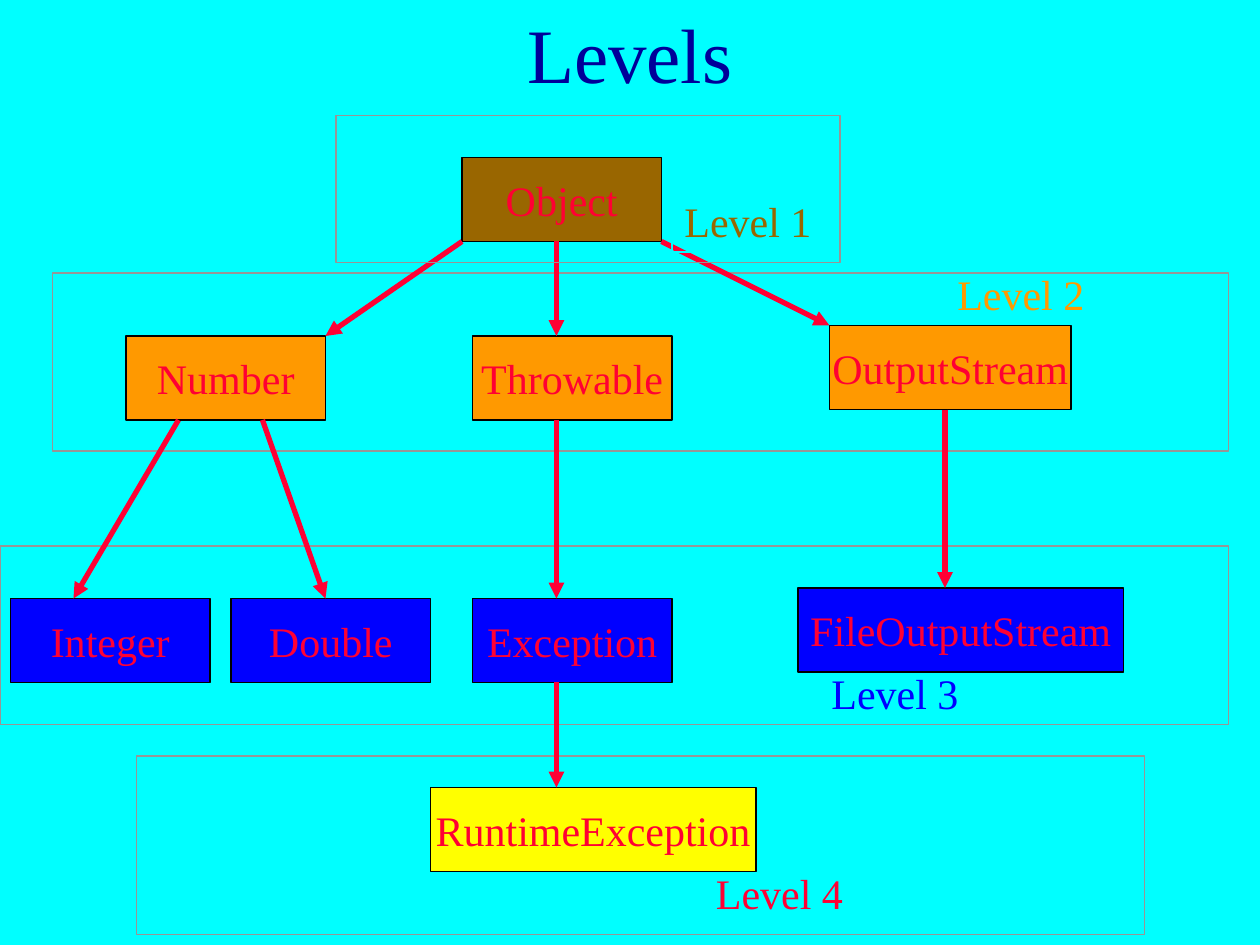
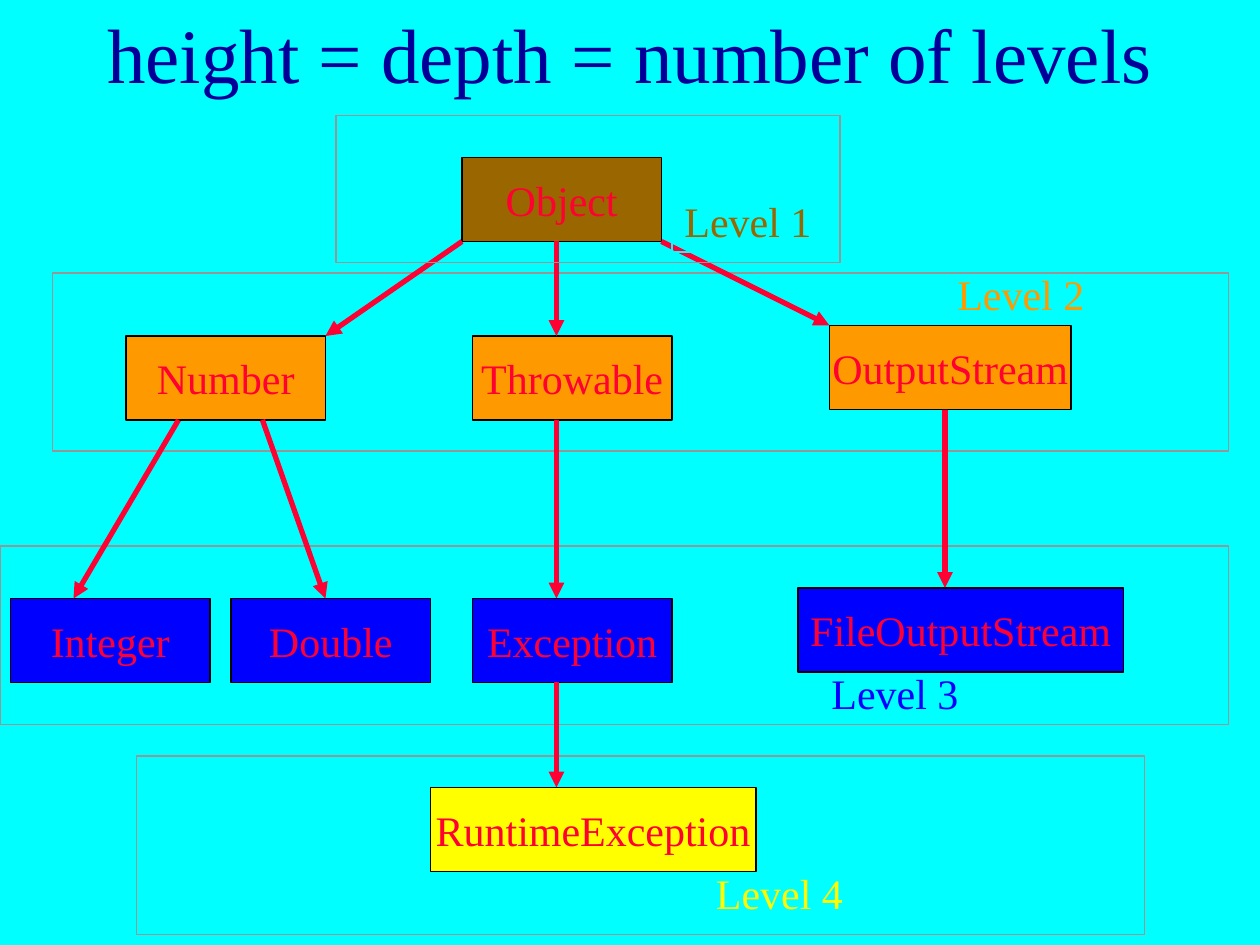
from dataclasses import dataclass

from lxml import etree
from pptx import Presentation
from pptx.dml.color import RGBColor
from pptx.enum.shapes import MSO_CONNECTOR, MSO_SHAPE
from pptx.enum.text import MSO_ANCHOR, MSO_AUTO_SIZE, PP_ALIGN
from pptx.oxml.ns import qn
from pptx.util import Pt

RECTANGLE = MSO_SHAPE.RECTANGLE
STRAIGHT = MSO_CONNECTOR.STRAIGHT
TOP, MIDDLE = MSO_ANCHOR.TOP, MSO_ANCHOR.MIDDLE
LEFT, CENTER = PP_ALIGN.LEFT, PP_ALIGN.CENTER
NO_AUTOFIT = MSO_AUTO_SIZE.NONE
PX = 9525


@dataclass(frozen=True)
class Theme:
    font: str = "Times New Roman"
    title_size: int = 44
    text_size: int = 24
    outline_width: int = 1
    arrow_width: int = 3
    background: str = "00FFFF"
    title: str = "000099"
    accent: str = "FF0033"
    outline: str = "000000"
    band: str = "969696"
    level_1: str = "996600"
    level_2: str = "FF9900"
    level_3: str = "0000FF"
    level_4: str = "FFFF00"


theme = Theme()

PAGES = [
    ("Levels", theme.accent),
    ("height = depth = number of levels", theme.level_4),
]

LOWER_LEVELS = [
    ("Level 4", (536, 656, 360, 48), (104, 576, 768, 136)),
    ("Level 3", (624, 504, 312, 48), (0, 416, 936, 136)),
    ("Level 2", (720, 200, 240, 48), (40, 208, 896, 136)),
]
ROOT_LEVEL = [("Level 1", (512, 144, 120, 48), (256, 88, 384, 112))]

CLASS_HEIGHT = 64
CLASSES = [
    ("Object", 352, 120, 152, theme.level_1),
    ("Number", 96, 256, 152, theme.level_2),
    ("Throwable", 360, 256, 152, theme.level_2),
    ("OutputStream", 632, 248, 184, theme.level_2),
    ("Integer", 8, 456, 152, theme.level_3),
    ("Double", 176, 456, 152, theme.level_3),
    ("Exception", 360, 456, 152, theme.level_3),
    ("FileOutputStream", 608, 448, 248, theme.level_3),
    ("RuntimeException", 328, 600, 248, theme.level_4),
]

ARROWS = [
    (424, 184, 424, 256),
    (352, 184, 248, 256),
    (504, 184, 632, 248),
    (136, 320, 56, 456),
    (200, 320, 248, 456),
    (424, 320, 424, 456),
    (720, 312, 720, 448),
    (424, 520, 424, 600),
]


def write_text(box, text, size, color, align, anchor, wrap):
    frame = box.text_frame
    frame.text = text
    frame.word_wrap = wrap
    frame.auto_size = NO_AUTOFIT
    frame.vertical_anchor = anchor
    para = frame.paragraphs[0]
    para.alignment = align
    for span in para.runs:
        span.font.name = theme.font
        span.font.size = Pt(size)
        span.font.color.rgb = RGBColor.from_string(color)


def add_box(page, bounds, outline, fill=None):
    box = page.shapes.add_shape(RECTANGLE, *(length * PX for length in bounds))
    box.shadow.inherit = False
    box.line.color.rgb = RGBColor.from_string(outline)
    box.line.width = Pt(theme.outline_width)
    if fill:
        box.fill.solid()
        box.fill.fore_color.rgb = RGBColor.from_string(fill)
    else:
        box.fill.background()
    return box


deck = Presentation()
deck.slide_width, deck.slide_height = 960 * PX, 720 * PX
backdrop = deck.slide_master.background.fill
backdrop.solid()
backdrop.fore_color.rgb = RGBColor.from_string(theme.background)
title_only = deck.slide_layouts[5]

for heading, level_4_label in PAGES:
    page = deck.slides.add_slide(title_only)
    title = page.shapes.title
    title.left, title.top, title.width, title.height = 0, 0, 960 * PX, 80 * PX
    write_text(title, heading, theme.title_size, theme.title, CENTER, MIDDLE, True)

    label_colors = {
        "Level 1": theme.level_1,
        "Level 2": theme.level_2,
        "Level 3": theme.level_3,
        "Level 4": level_4_label,
    }

    for levels in (LOWER_LEVELS, ROOT_LEVEL):
        if levels is ROOT_LEVEL:
            for name, left, top, width, fill in CLASSES:
                box = add_box(page, (left, top, width, CLASS_HEIGHT), theme.outline, fill)
                write_text(box, name, theme.text_size, theme.accent, CENTER, MIDDLE, False)

            for ends in ARROWS:
                arrow = page.shapes.add_connector(STRAIGHT, *(length * PX for length in ends))
                arrow.line.color.rgb = RGBColor.from_string(theme.accent)
                arrow.line.width = Pt(theme.arrow_width)
                etree.SubElement(arrow.line._get_or_add_ln(), qn("a:tailEnd"), type="triangle")
                etree.SubElement(arrow._element.spPr, qn("a:effectLst"))

        for name, label_bounds, band_bounds in levels:
            label = add_box(page, label_bounds, theme.background)
            write_text(label, name, theme.text_size, label_colors[name], LEFT, TOP, True)
            add_box(page, band_bounds, theme.band)

deck.save("out.pptx")
